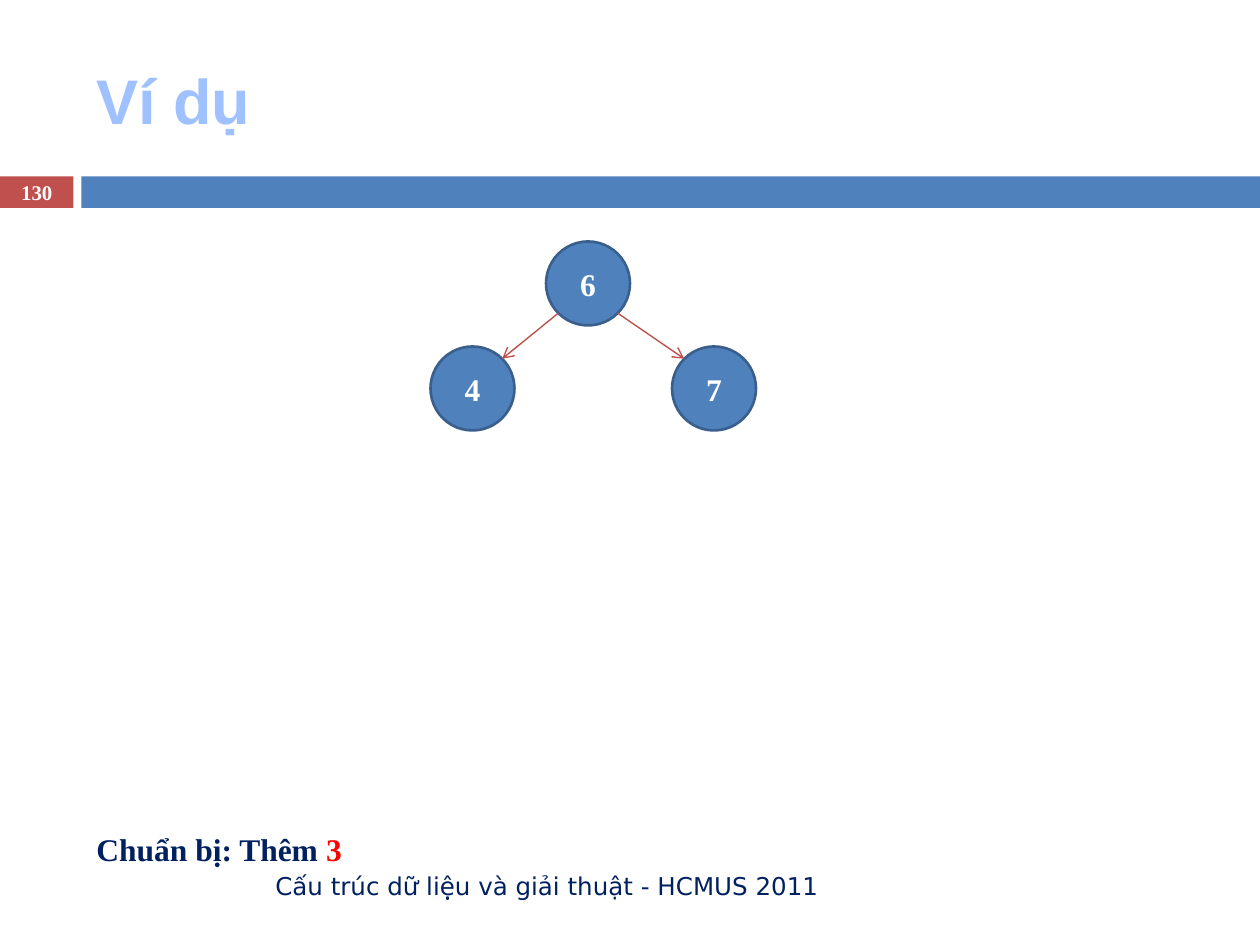
import math

import pptx
from lxml import etree
from pptx.dml.color import RGBColor
from pptx.enum.shapes import MSO_CONNECTOR, MSO_SHAPE
from pptx.enum.text import MSO_ANCHOR, PP_ALIGN
from pptx.oxml.ns import qn
from pptx.util import Pt

COLORS = {
    "blue": "4F81BD",
    "outline": "3A5F8C",
    "red": "C0504D",
    "title": "A0C1FF",
    "navy": "002060",
    "accent": "FF0000",
    "white": "FFFFFF",
}
SERIF = "Times New Roman"


def rgb(name):
    return RGBColor.from_string(COLORS[name])


def style(sp, size, color, font=SERIF, bold=True, align=PP_ALIGN.LEFT):
    """Format the first paragraph of a shape and centre it vertically."""
    tf = sp.text_frame
    tf.word_wrap = True
    tf.vertical_anchor = MSO_ANCHOR.MIDDLE
    p = tf.paragraphs[0]
    p.alignment = align
    for r in p.runs:
        r.font.name = font
        r.font.size = Pt(size)
        r.font.bold = bold
        r.font.color.rgb = rgb(color)


prs = pptx.Presentation()
prs.slide_width, prs.slide_height = Pt(720), Pt(540)
s = prs.slides.add_slide(prs.slide_layouts[5])

# Title
title = s.shapes.title
title.left, title.top, title.width, title.height = Pt(48), Pt(18), Pt(642), Pt(78)
title.text_frame.text = "Ví dụ"
style(title, 36, "title", font="Arial")

# Header band, with the slide number in its left part
for left, width, color, text in ((0, 42, "red", "130"), (46.5, 673.5, "blue", "")):
    sp = s.shapes.add_shape(MSO_SHAPE.RECTANGLE, Pt(left), Pt(100.8), Pt(width), Pt(18))
    sp.shadow.inherit = False
    sp.fill.solid()
    sp.fill.fore_color.rgb = rgb(color)
    sp.line.fill.background()
    if text:
        sp.text_frame.text = text
        style(sp, 11.9, "white", align=PP_ALIGN.CENTER)

# Footer
footer = s.shapes.add_textbox(Pt(48), Pt(492), Pt(427), Pt(28.8))
footer.text_frame.text = "Cấu trúc dữ liệu và giải thuật - HCMUS 2011"
style(footer, 14, "navy", font="DejaVu Sans", bold=False, align=PP_ALIGN.RIGHT)

# Tree nodes: centre of each circle by key
RADIUS = 24
nodes = {"6": (336, 162), "7": (408, 222), "4": (270, 222)}
for key, (x, y) in nodes.items():
    sp = s.shapes.add_shape(MSO_SHAPE.OVAL, Pt(x - RADIUS), Pt(y - RADIUS),
                            Pt(2 * RADIUS), Pt(2 * RADIUS))
    sp.shadow.inherit = False
    sp.fill.solid()
    sp.fill.fore_color.rgb = rgb("blue")
    sp.line.color.rgb = rgb("outline")
    sp.line.width = Pt(1.5)
    sp.text_frame.text = key
    style(sp, 18, "white", align=PP_ALIGN.CENTER)

# Edges leave and meet the circles at 45 degrees
offset = RADIUS * math.sqrt(0.5)
for parent, child in (("6", "4"), ("6", "7")):
    (x1, y1), (x2, y2) = nodes[parent], nodes[child]
    dx = math.copysign(offset, x2 - x1)
    edge = s.shapes.add_connector(MSO_CONNECTOR.STRAIGHT, Pt(x1 + dx), Pt(y1 + offset),
                                  Pt(x2 - dx), Pt(y2 - offset))
    edge.line.color.rgb = rgb("red")
    edge.line.width = Pt(0.79)
    etree.SubElement(edge.line._get_or_add_ln(), qn("a:tailEnd"), type="arrow")
    etree.SubElement(edge._element.spPr, qn("a:effectLst"))

# Next step
step = s.shapes.add_textbox(Pt(48), Pt(471), Pt(198), Pt(28))
p = step.text_frame.paragraphs[0]
for text in ("Chuẩn bị: Thêm ", "3"):
    p.add_run().text = text
style(step, 18, "navy")
p.runs[1].font.color.rgb = rgb("accent")

prs.save("out.pptx")
